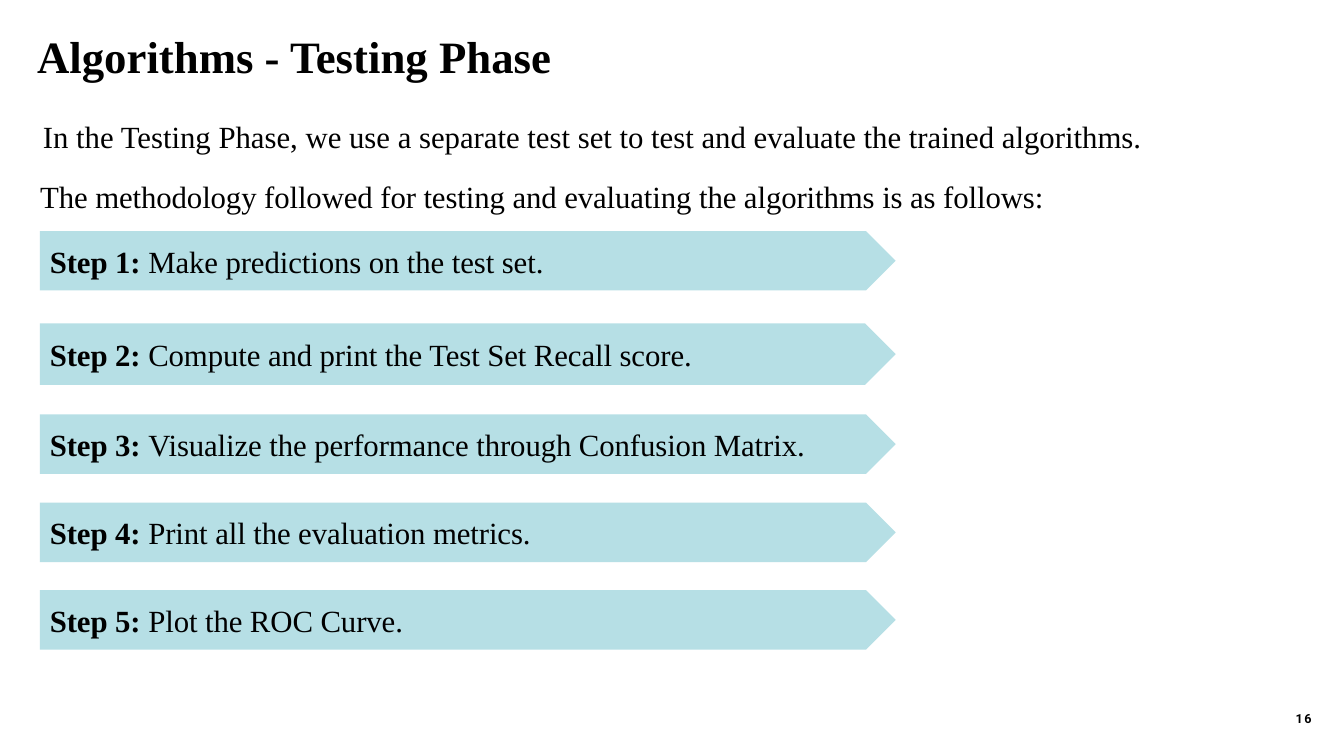
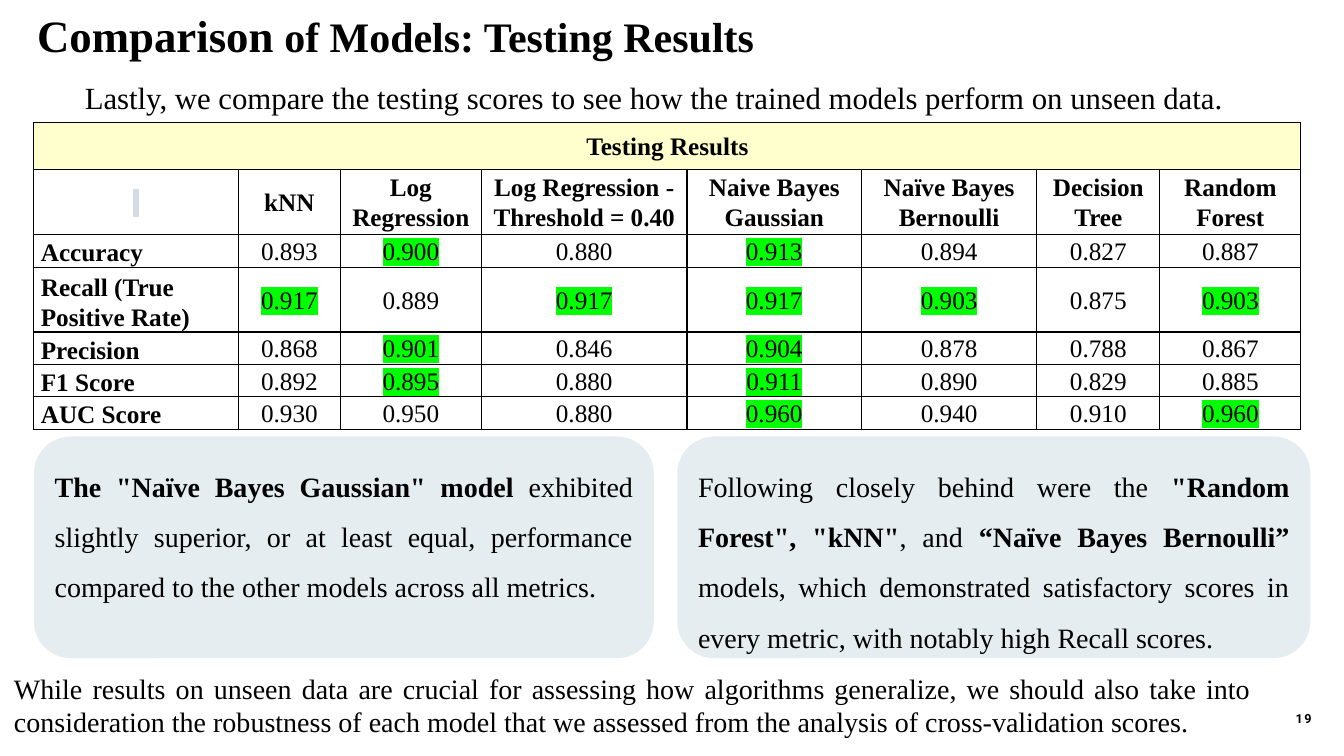
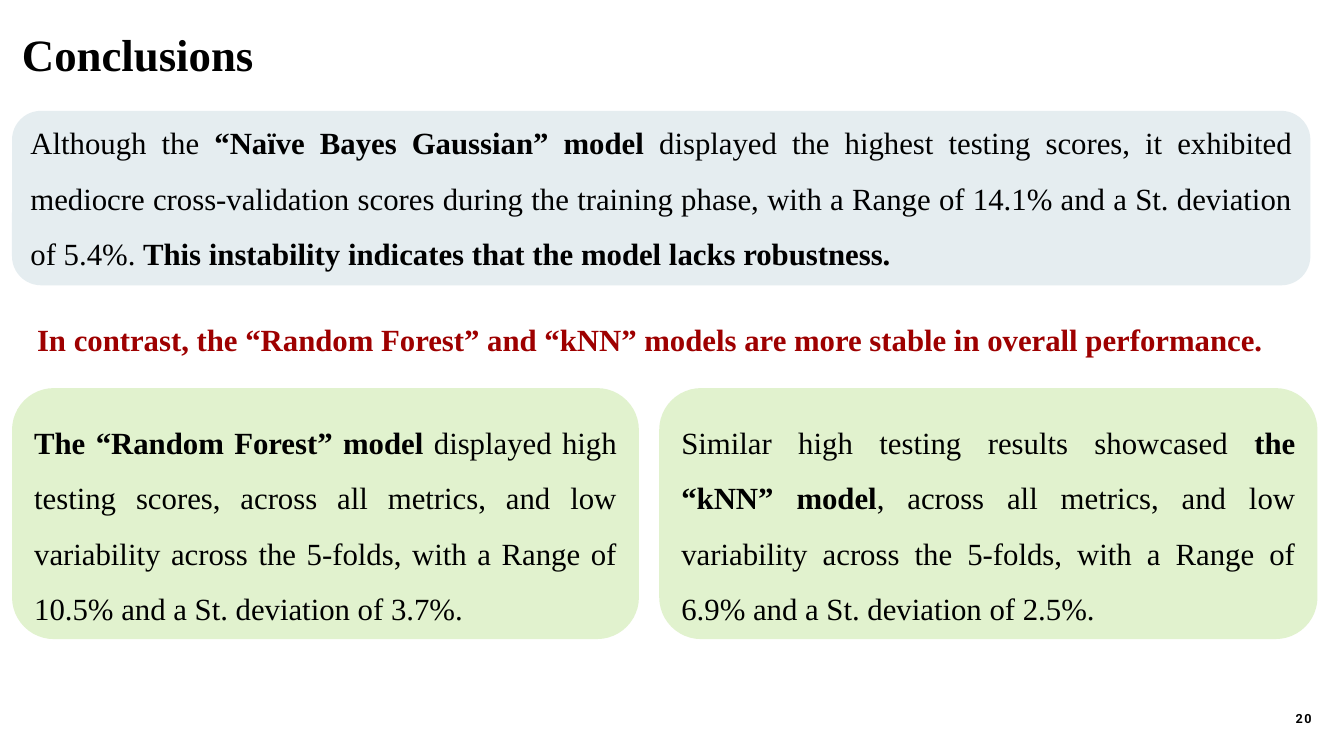
from dataclasses import dataclass
from typing import Any, Optional

from lxml import etree
from pptx import Presentation
from pptx import util as u
from pptx.dml.color import RGBColor
from pptx.enum import shapes, text
from pptx.oxml import ns

BLACK = RGBColor(0, 0, 0)
DARK_RED = RGBColor(0x9E, 0, 0)
AQUA = RGBColor(0xB6, 0xDF, 0xE5)
MIST = RGBColor(0xE5, 0xED, 0xF0)
LIME = RGBColor(0xE1, 0xF2, 0xCE)
CREAM = RGBColor(0xFF, 0xFF, 0xCD)
BRIGHT_GREEN = RGBColor(0, 0xFF, 0)
PALE_BLUE = RGBColor(0xD5, 0xDC, 0xE6)

SERIF = "Times New Roman"
LEFT, CENTER, RIGHT, JUSTIFY = (
    text.PP_ALIGN.LEFT, text.PP_ALIGN.CENTER, text.PP_ALIGN.RIGHT, text.PP_ALIGN.JUSTIFY)
TOP, MIDDLE, BOTTOM = (
    text.MSO_ANCHOR.TOP, text.MSO_ANCHOR.MIDDLE, text.MSO_ANCHOR.BOTTOM)
ARROW = shapes.MSO_SHAPE.PENTAGON
CARD = shapes.MSO_SHAPE.ROUNDED_RECTANGLE


@dataclass(frozen=True)
class Style:
    size: float = 22
    font: str = SERIF
    color: RGBColor = BLACK
    bold: bool = False
    align: Any = JUSTIFY
    anchor: Any = TOP
    line: float = 1.0
    before: float = 0
    after: float = 0
    tracking: float = 0
    grow: bool = False


@dataclass(frozen=True)
class Block:
    left: float
    top: float
    width: float
    height: float
    words: str
    style: Style
    outline: Any = None
    fill: Optional[RGBColor] = None


@dataclass(frozen=True)
class Step:
    top: float
    height: float
    words: str


TITLE = Style(size=32, bold=True, align=LEFT, line=1.2, before=10)
LEAD = Style(align=CENTER, line=1.5, after=6, grow=True)
METHOD = Style(line=1.5, after=6, tracking=-0.05, grow=True)
STEP = Style(anchor=MIDDLE, after=6, tracking=-0.05)
SMALL_CARD = Style(size=20, line=1.5, after=6)
LARGE_CARD = Style(line=1.5)
BOTTOM_CARD = Style(line=1.5, after=6, anchor=BOTTOM)
CONTRAST = Style(color=DARK_RED, bold=True, align=LEFT, line=1.5, after=8, grow=True)
NOTE = Style(size=20, grow=True)
NUMBER = Style(size=9, font="Roboto", bold=True, align=RIGHT, anchor=MIDDLE, tracking=1)
HEAD_CELL = Style(size=18, bold=True, align=CENTER, anchor=MIDDLE, line=1.07)
NAME_CELL = Style(size=18, bold=True, align=LEFT, anchor=BOTTOM, line=1.07)
VALUE_CELL = Style(size=18, align=CENTER, anchor=MIDDLE, line=1.07)

STEPS = [
    Step(165, 42.5, "**Step 1: **Make predictions on the test set."),
    Step(231, 44, "**Step 2: **Compute and print the Test Set Recall score."),
    Step(296, 42.5, "**Step 3: **Visualize the performance through Confusion Matrix."),
    Step(359, 42.5, "**Step 4: **Print all the evaluation metrics."),
    Step(421.5, 42.5, "**Step 5: **Plot the ROC Curve."),
]

COLUMNS = [146.2, 72.7, 100.8, 146.9, 124.6, 125.3, 87.8, 100.8]
ROWS = [34, 46.4, 23, 46.4, 23, 23, 23]
MODELS = [" ", "kNN", "Log Regression", "Log Regression - Threshold = 0.40",
          "Naive Bayes Gaussian", "Naïve Bayes Bernoulli", "Decision Tree", "Random Forest"]
SCORES = [
    ("Accuracy", "0.893 0.900* 0.880 0.913* 0.894 0.827 0.887"),
    ("Recall (True Positive Rate)", "0.917* 0.889 0.917* 0.917* 0.903* 0.875 0.903*"),
    ("Precision", "0.868 0.901* 0.846 0.904* 0.878 0.788 0.867"),
    ("F1 Score", "0.892 0.895* 0.880 0.911* 0.890 0.829 0.885"),
    ("AUC Score", "0.930 0.950 0.880 0.960* 0.940 0.910 0.960*"),
]


def set_all(target: Any, values: dict[str, Any]) -> None:
    for name, value in values.items():
        setattr(target, name, value)


def write(frame: Any, words: str, style: Style) -> None:
    paragraph = frame.paragraphs[0]
    set_all(paragraph, {
        "alignment": style.align, "line_spacing": style.line,
        "space_before": u.Pt(style.before), "space_after": u.Pt(style.after)})
    for index, part in enumerate(words.split("**")):
        if not part:
            continue
        run = paragraph.add_run()
        run.text = part
        set_all(run.font, {
            "size": u.Pt(style.size), "name": style.font,
            "bold": style.bold or index % 2 == 1})
        run.font.color.rgb = style.color
        if style.tracking:
            run.font._element.set("spc", str(round(style.tracking * 100)))


def add_block(slide: Any, block: Block) -> Any:
    box = [u.Pt(value) for value in (block.left, block.top, block.width, block.height)]
    if block.outline is None:
        shape = slide.shapes.add_textbox(*box)
    else:
        shape = slide.shapes.add_shape(block.outline, *box)
        shape.shadow.inherit = False
        shape.fill.solid()
        shape.fill.fore_color.rgb = block.fill
        shape.line.fill.background()
    fit = text.MSO_AUTO_SIZE.SHAPE_TO_FIT_TEXT if block.style.grow else text.MSO_AUTO_SIZE.NONE
    set_all(shape.text_frame, {
        "word_wrap": True, "vertical_anchor": block.style.anchor, "auto_size": fit})
    write(shape.text_frame, block.words, block.style)
    return shape


def add_page(presentation: Any, title: str, left: float, top: float,
             blocks: list[Block], number: int) -> Any:
    slide = presentation.slides.add_slide(presentation.slide_layouts[6])
    heading = add_block(slide, Block(left, top, 836.6, 49.7, title, TITLE))
    for block in blocks:
        add_block(slide, block)
    add_block(slide, Block(901.4, 499, 42.5, 28.8, str(number), NUMBER))
    return heading


def highlight(run: Any, color: RGBColor) -> None:
    mark = etree.Element(ns.qn("a:highlight"))
    etree.SubElement(mark, ns.qn("a:srgbClr"), val=str(color))
    run.font._element.find(ns.qn("a:latin")).addprevious(mark)


def add_borders(cell: Any) -> None:
    properties = cell._tc.get_or_add_tcPr()
    for index, side in enumerate(("a:lnL", "a:lnR", "a:lnT", "a:lnB")):
        border = etree.Element(ns.qn(side), w=str(u.Pt(1)))
        fill = etree.SubElement(border, ns.qn("a:solidFill"))
        etree.SubElement(fill, ns.qn("a:srgbClr"), val=str(BLACK))
        properties.insert(index, border)


def fill_cell(cell: Any, words: str, style: Style, mark: Optional[RGBColor] = None) -> None:
    set_all(cell, {
        "margin_left": u.Pt(5), "margin_right": u.Pt(5), "margin_top": 0,
        "margin_bottom": 0, "vertical_anchor": style.anchor})
    write(cell.text_frame, words, style)
    if mark is not None:
        highlight(cell.text_frame.paragraphs[0].runs[0], mark)


def add_results(slide: Any) -> None:
    table = slide.shapes.add_table(
        len(ROWS), len(COLUMNS), u.Pt(24.2), u.Pt(87.3),
        u.Pt(sum(COLUMNS)), u.Pt(sum(ROWS))).table
    set_all(table, {"first_row": False, "horz_banding": False})
    for column, width in zip(table.columns, COLUMNS):
        column.width = u.Pt(width)
    for row, height in zip(table.rows, ROWS):
        row.height = u.Pt(height)
    for cell in table.iter_cells():
        cell.fill.background()
        add_borders(cell)
    banner = table.cell(0, 0)
    banner.merge(table.cell(0, len(COLUMNS) - 1))
    banner.fill.solid()
    banner.fill.fore_color.rgb = CREAM
    fill_cell(banner, "Testing Results", HEAD_CELL)
    for column, model in enumerate(MODELS):
        fill_cell(table.cell(1, column), model, HEAD_CELL, None if model.strip() else PALE_BLUE)
    for row, (metric, scores) in enumerate(SCORES, start=2):
        fill_cell(table.cell(row, 0), metric, NAME_CELL)
        for column, score in enumerate(scores.split(), start=1):
            best = BRIGHT_GREEN if score.endswith("*") else None
            fill_cell(table.cell(row, column), score.rstrip("*"), VALUE_CELL, best)


def add_testing_phase(presentation: Any) -> None:
    blocks = [
        Block(8.6, 67, 828.7, 42.5, "In the Testing Phase, we use a separate test set to test "
              "and evaluate the trained algorithms.", LEAD),
        Block(21.6, 110.2, 794.9, 42.5, "The methodology followed for testing and evaluating "
              "the algorithms is as follows:", METHOD),
    ]
    blocks += [Block(28.5, step.top, 611.3, step.height, step.words, STEP, ARROW, AQUA)
               for step in STEPS]
    add_page(presentation, "Algorithms - Testing Phase", 19.4, 9.4, blocks, 16)


def add_comparison(presentation: Any) -> None:
    blocks = [
        Block(29.5, 39.6, 874.8, 43.2, "Lastly, we compare the testing scores to see how the "
              "trained models perform on unseen data.", LEAD),
        Block(24.2, 311.8, 442.8, 158.4, '**The "Naïve Bayes Gaussian" model **exhibited '
              "slightly superior, or at least equal, performance compared to the other models "
              "across all metrics.", SMALL_CARD, CARD, MIST),
        Block(483.8, 311.8, 452.2, 158.4, 'Following closely behind were the **"Random '
              'Forest", "kNN"**, and **“Naïve Bayes Bernoulli”** models, which demonstrated '
              "satisfactory scores in every metric, with notably high Recall scores.",
              SMALL_CARD, CARD, MIST),
        Block(2.9, 476, 898, 54, "While results on unseen data are crucial for assessing "
              "how algorithms generalize, we should also take into consideration the robustness "
              "of each model that we assessed from the analysis of cross-validation scores.",
              NOTE),
    ]
    heading = add_page(presentation, "Comparison** of Models: Testing Results",
                       19.4, -5.8, blocks, 19)
    heading.text_frame.paragraphs[0].runs[1].font.size = u.Pt(30)
    add_results(presentation.slides[-1])


def add_conclusions(presentation: Any) -> None:
    blocks = [
        Block(8.6, 277.2, 447.8, 179.3, "**The “Random Forest” model** displayed high testing "
              "scores, across all metrics, and low variability across the 5-folds, with a Range "
              "of 10.5% and a St. deviation of 3.7%.", LARGE_CARD, CARD, LIME),
        Block(470.9, 277.2, 470.2, 179.3, "Similar high testing results showcased **the “kNN” "
              "model**, across all metrics, and low variability across the 5-folds, with a Range "
              "of 6.9% and a St. deviation of 2.5%.", LARGE_CARD, CARD, LIME),
        Block(19.4, 212.4, 921.6, 43.2, "In contrast, the “Random Forest” and “kNN” models are "
              "more stable in overall performance.", CONTRAST),
        Block(8.6, 79.2, 927.4, 124.6, "Although the** “Naïve Bayes Gaussian” model **displayed "
              "the highest testing scores, it exhibited mediocre cross-validation scores during "
              "the training phase, with a Range of 14.1% and a St. deviation of 5.4%. **This "
              "instability indicates that the model lacks robustness.", BOTTOM_CARD, CARD, MIST),
    ]
    add_page(presentation, "Conclusions", 8.6, 7.9, blocks, 20)


def main() -> None:
    presentation = Presentation()
    set_all(presentation, {"slide_width": u.Pt(960), "slide_height": u.Pt(540)})
    add_testing_phase(presentation)
    add_comparison(presentation)
    add_conclusions(presentation)
    presentation.save("out.pptx")


if __name__ == "__main__":
    main()
